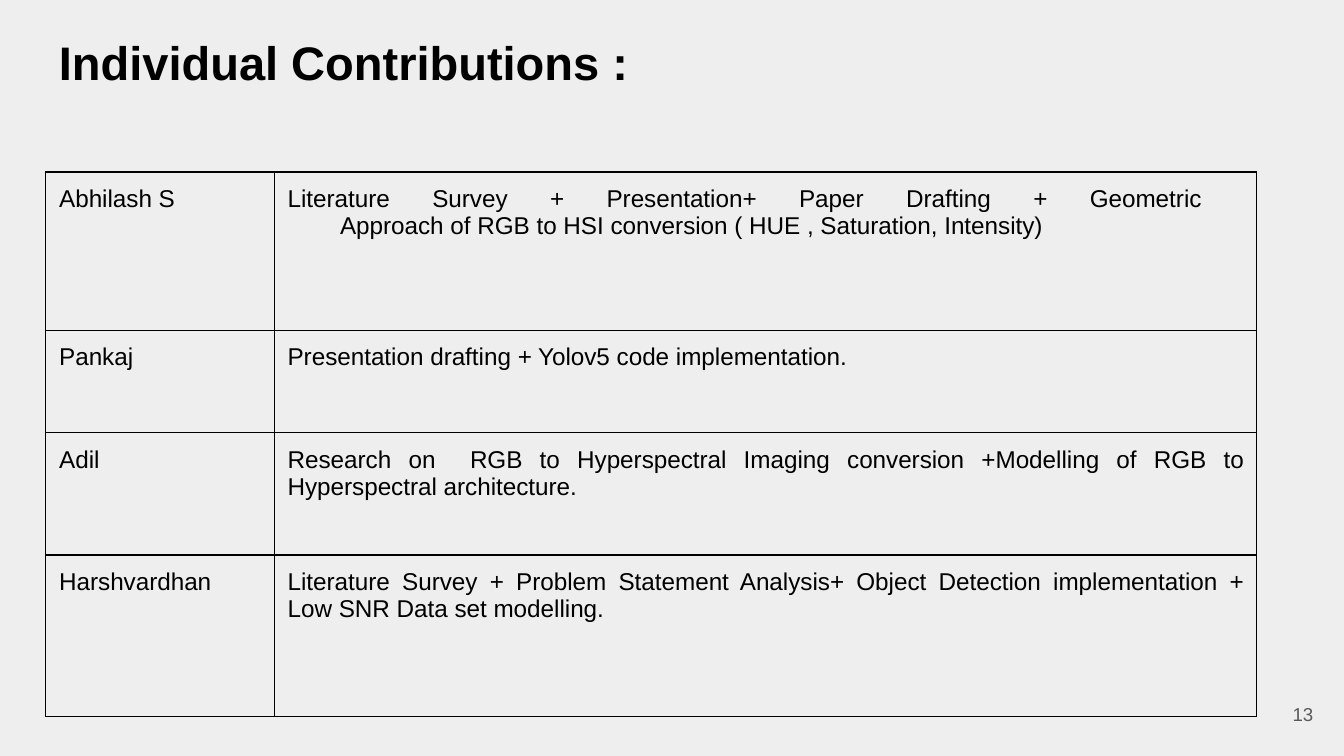
from lxml import etree
from pptx import Presentation
from pptx.dml.color import RGBColor
from pptx.enum.text import MSO_ANCHOR as Anchor, PP_ALIGN as Align
from pptx.oxml.ns import qn
from pptx.util import Inches, Pt

INK = "000000"
ROWS = [
    (1.18, "Abhilash S",
     "Literature Survey + Presentation+ Paper Drafting + Geometric \v"
     "Approach of RGB to HSI conversion ( HUE , Saturation, Intensity)"),
    (0.76, "Pankaj", "Presentation drafting + Yolov5 code implementation."),
    (0.91, "Adil",
     "Research on  RGB to Hyperspectral Imaging conversion "
     "+Modelling of RGB to Hyperspectral architecture."),
    (1.2, "Harshvardhan",
     "Literature Survey + Problem Statement Analysis+ Object Detection "
     "implementation + Low SNR Data set modelling."),
]
COLS = [1.7, 7.31]


def write(box, text, size, color=INK, align=Align.LEFT, bold=False):
    """Fill a text box or cell with one paragraph and equal margins."""
    frame = box.text_frame
    frame.word_wrap = True
    for side in ("left", "top", "right", "bottom"):
        setattr(box if hasattr(box, "margin_left") else frame,
                f"margin_{side}", Inches(0.1))
    para = frame.paragraphs[0]
    para.text = text
    para.alignment = align
    font = para.font
    font.name, font.size, font.bold = "Arial", Pt(size), bold
    font.color.rgb = RGBColor.from_string(color)


def outline(cell):
    props = cell._tc.get_or_add_tcPr()
    for spot, side in enumerate(("lnL", "lnR", "lnT", "lnB")):
        line = etree.Element(qn(f"a:{side}"), w=str(Pt(0.75)))
        fill = etree.SubElement(line, qn("a:solidFill"))
        etree.SubElement(fill, qn("a:srgbClr"), val=INK)
        props.insert(spot, line)


deck = Presentation()
deck.slide_width = Inches(10)
deck.slide_height = deck.slide_width * 9 // 16
slide = deck.slides.add_slide(deck.slide_layouts[6])
back = slide.background.fill
back.solid()
back.fore_color.rgb = RGBColor.from_string("EEEEEE")
shapes = slide.shapes

title = shapes.add_textbox(Inches(0.34), Inches(0.15), Inches(9.32), Inches(0.63))
write(title, "Individual Contributions :", 25.2, bold=True)

number = shapes.add_textbox(Inches(9.27), Inches(5.1), Inches(0.6), Inches(0.43))
write(number, "13", 10, "595959", Align.RIGHT)
number.text_frame.vertical_anchor = Anchor.MIDDLE

high = sum(row[0] for row in ROWS)
table = shapes.add_table(len(ROWS), len(COLS), Inches(0.34), Inches(1.28),
                         Inches(sum(COLS)), Inches(high)).table
table.first_row = table.horz_banding = False
for col, width in zip(table.columns, COLS):
    col.width = Inches(width)
for row, (height, name, work) in zip(table.rows, ROWS):
    row.height = Inches(height)
    for cell, text, align in zip(row.cells, (name, work), (Align.LEFT, Align.JUSTIFY)):
        write(cell, text, 13, align=align)
        cell.fill.background()
        outline(cell)

# The first task hangs: its second line is indented
hang = table.cell(0, 1).text_frame.paragraphs[0]._p.get_or_add_pPr()
hang.set("marL", str(Inches(0.39)))
hang.set("indent", str(-Inches(0.39)))

deck.save("out.pptx")
